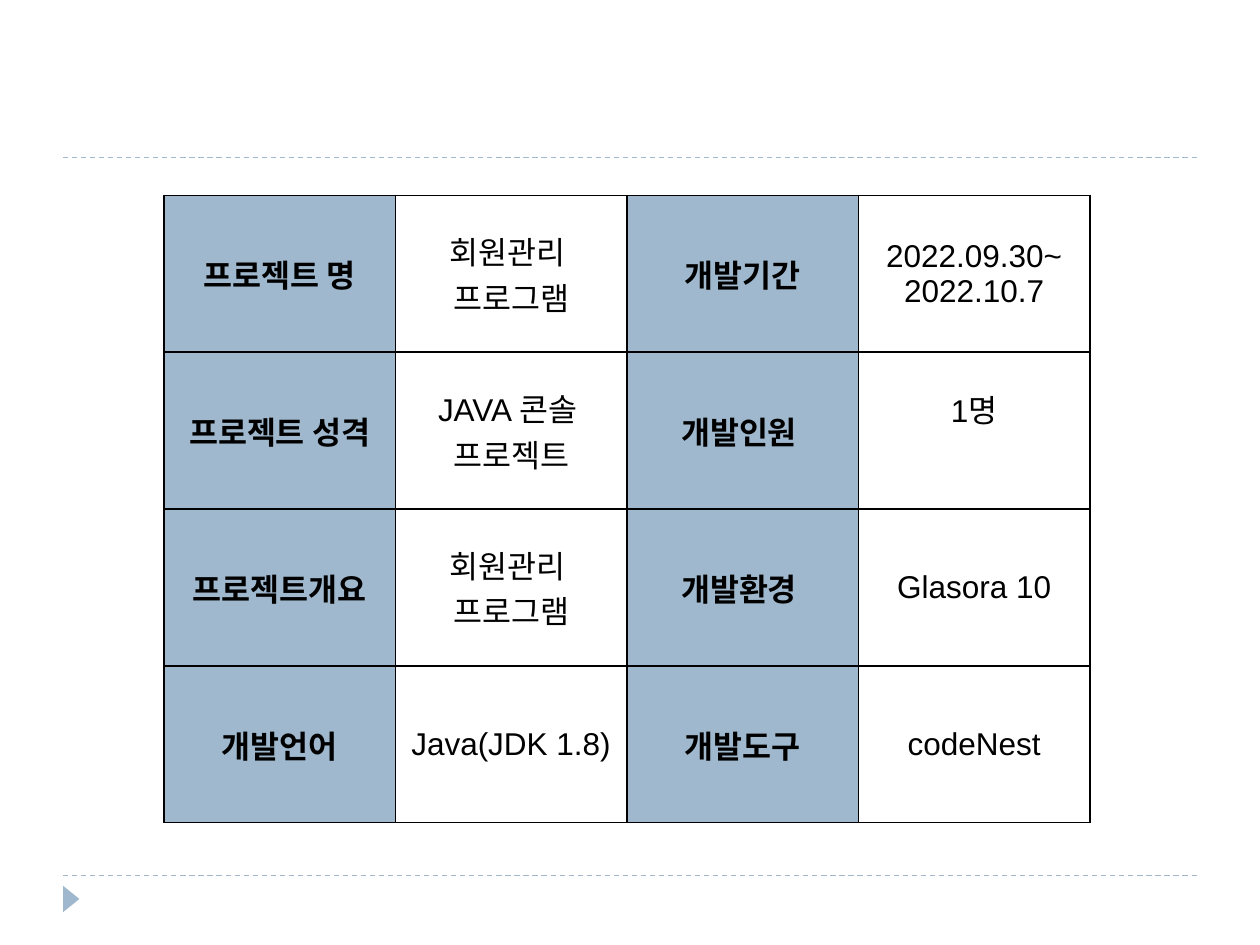
import pptx
import pptx.dml.color
import pptx.enum.dml
import pptx.enum.shapes
import pptx.enum.text
import pptx.oxml
import pptx.oxml.ns
import pptx.util
from pptx.util import Inches

BLUE = pptx.dml.color.RGBColor(0x9F, 0xB8, 0xCD)
BLACK = pptx.dml.color.RGBColor(0, 0, 0)

# Labels and values alternate across each row; a newline starts a paragraph
PROJECT_ROWS = [
    ["프로젝트 명", "회원관리 \n프로그램", "개발기간", "2022.09.30~\n2022.10.7"],
    ["프로젝트 성격", "JAVA 콘솔 \n프로젝트", "개발인원 ", "1명"],
    ["프로젝트개요", "회원관리 \n프로그램", "개발환경 ", "Glasora 10"],
    ["개발언어", "Java(JDK 1.8)", "개발도구", "codeNest"],
]


def add_rule(slide, y):
    rule = slide.shapes.add_connector(
        pptx.enum.shapes.MSO_CONNECTOR.STRAIGHT,
        Inches(0.5), Inches(y), Inches(9.5), Inches(y))
    rule.line.color.rgb = BLUE
    rule.line.width = pptx.util.Pt(0.75)
    rule.line.dash_style = pptx.enum.dml.MSO_LINE.DASH
    properties = rule._element.spPr
    properties.append(properties.makeelement(pptx.oxml.ns.qn("a:effectLst"), {}))


def add_page_marker(slide):
    marker = slide.shapes.add_shape(
        pptx.enum.shapes.MSO_SHAPE.ISOSCELES_TRIANGLE,
        Inches(0.46), Inches(7.07), Inches(0.21), Inches(0.13))
    marker.rotation = 90
    marker.shadow.inherit = False
    marker.fill.solid()
    marker.fill.fore_color.rgb = BLUE
    marker.line.fill.background()


def add_borders(cell):
    properties = cell._tc.get_or_add_tcPr()
    for side in ("lnL", "lnR", "lnT", "lnB"):
        properties.append(pptx.oxml.parse_xml(
            f'<a:{side} {pptx.oxml.ns.nsdecls("a")} w="{pptx.util.Pt(1)}">'
            f'<a:solidFill><a:srgbClr val="{BLACK}"/></a:solidFill></a:{side}>'))


def format_cell(cell, text, is_label):
    cell.text = text
    cell.vertical_anchor = pptx.enum.text.MSO_ANCHOR.MIDDLE
    add_borders(cell)
    if is_label:
        cell.fill.solid()
        cell.fill.fore_color.rgb = BLUE
    else:
        cell.fill.background()
    for paragraph in cell.text_frame.paragraphs:
        paragraph.alignment = pptx.enum.text.PP_ALIGN.CENTER
        paragraph.font.name = "Arial"
        paragraph.font.size = pptx.util.Pt(18)
        paragraph.font.bold = is_label
        paragraph.font.color.rgb = BLACK


def add_project_table(slide):
    overview = slide.shapes.add_table(
        len(PROJECT_ROWS), len(PROJECT_ROWS[0]),
        Inches(1.3), Inches(1.55), Inches(7.35), Inches(4.98)).table
    overview.first_row = False
    overview.horz_banding = False
    for row, texts in enumerate(PROJECT_ROWS):
        for column, text in enumerate(texts):
            format_cell(overview.cell(row, column), text, column % 2 == 0)
    # The headcount sits above the middle of its cell
    overview.cell(1, 3).margin_bottom = Inches(0.4)


def main():
    deck = pptx.Presentation()
    deck.slide_width, deck.slide_height = Inches(10), Inches(7.5)
    slide = deck.slides.add_slide(deck.slide_layouts[6])

    # Page frame
    for y in (6.95, 1.25):
        add_rule(slide, y)
    add_page_marker(slide)

    # Project overview
    add_project_table(slide)
    deck.save("out.pptx")


if __name__ == "__main__":
    main()
